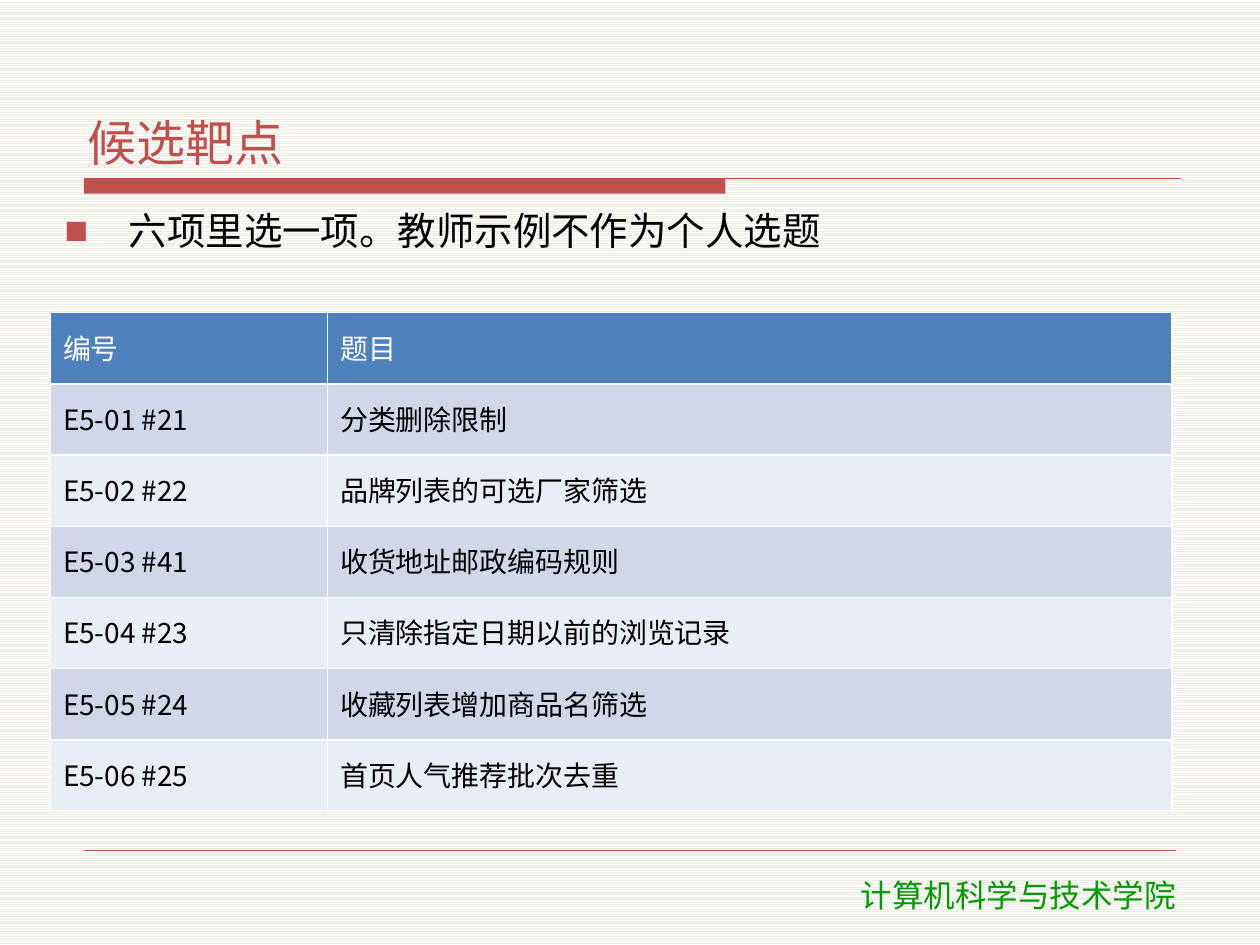
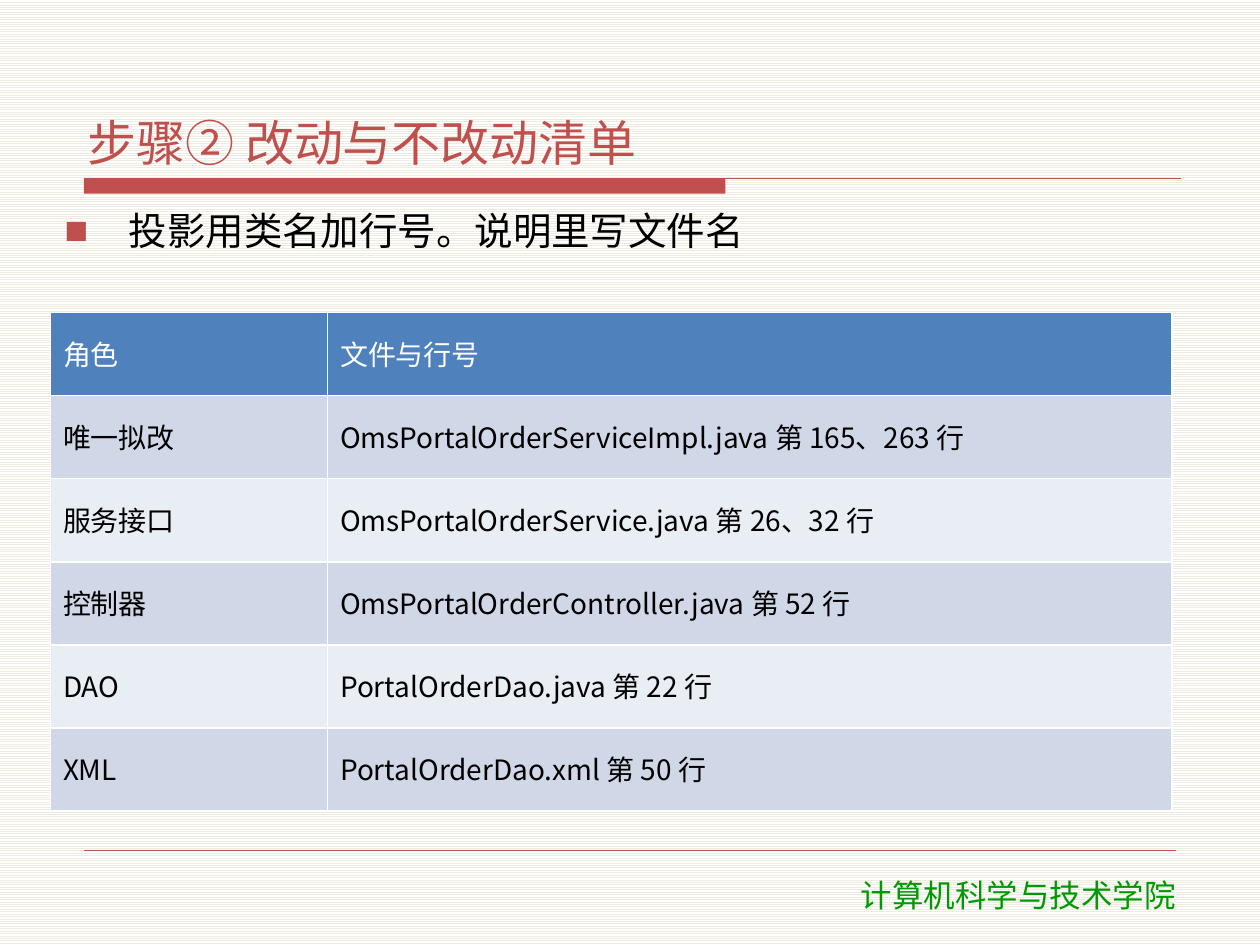
from dataclasses import dataclass

from lxml.etree import SubElement as Sub
from pptx import Presentation
from pptx.dml.color import RGBColor as Rgb
from pptx.enum.dml import MSO_PATTERN as Pattern
from pptx.enum.shapes import MSO_CONNECTOR as Conn, MSO_SHAPE as Shape
from pptx.enum.text import MSO_ANCHOR as Anchor, PP_ALIGN as Align
from pptx.oxml.ns import qn
from pptx.util import Pt


@dataclass(frozen=True)
class Theme:
    red: str = "C0504D"
    green: str = "009900"
    blue: str = "4F81BD"
    white: str = "FFFFFF"
    black: str = "000000"
    cream: str = "EEECE1"
    bands: tuple = ("D0D8E8", "E9EDF4")
    sans: str = "Noto Sans CJK SC"
    plain: str = "DejaVu Sans"
    title: int = 28
    lead: int = 22
    foot: int = 18
    cell: int = 16


T = Theme()
hue = Rgb.from_string


def write(frame, text, size, color, font=T.sans, anchor=Anchor.TOP,
          align=Align.LEFT, inset=None, after=0, lines=None, bullet=False):
    """Fill a text frame with one paragraph in the given format."""
    frame.word_wrap = True
    frame.vertical_anchor = anchor
    if inset:
        frame.margin_left = frame.margin_right = Pt(inset[0])
        frame.margin_top = frame.margin_bottom = Pt(inset[1])
    para = frame.paragraphs[0]
    if bullet:
        props = para._p.get_or_add_pPr()
        props.set("marL", str(Pt(36.7)))
        props.set("indent", str(-Pt(36.7)))
        Sub(Sub(props, qn("a:buClr")), qn("a:srgbClr"), val=T.red)
        Sub(props, qn("a:buSzPct"), val="65000")
        Sub(props, qn("a:buFont"), typeface=T.plain)
        Sub(props, qn("a:buChar"), char="■")
    para.alignment = align
    para.space_before, para.space_after = Pt(0), Pt(after)
    if lines:
        para.line_spacing = lines
    run = para.add_run()
    run.text = text
    run.font.size, run.font.name = Pt(size), font
    run.font.color.rgb = hue(color)
    Sub(run.font._element, qn("a:ea"), typeface=font)


def rule(shapes, left, right, top, width):
    line = shapes.add_connector(Conn.STRAIGHT, Pt(left), Pt(top), Pt(right), Pt(top))
    line.line.color.rgb, line.line.width = hue(T.red), Pt(width)
    Sub(line._element.spPr, qn("a:effectLst"))


pages = [
    ("候选靶点", "六项里选一项。教师示例不作为个人选题", [
        ("编号", "题目"),
        ("E5-01 #21", "分类删除限制"),
        ("E5-02 #22", "品牌列表的可选厂家筛选"),
        ("E5-03 #41", "收货地址邮政编码规则"),
        ("E5-04 #23", "只清除指定日期以前的浏览记录"),
        ("E5-05 #24", "收藏列表增加商品名筛选"),
        ("E5-06 #25", "首页人气推荐批次去重"),
    ]),
    ("步骤② 改动与不改动清单", "投影用类名加行号。说明里写文件名", [
        ("角色", "文件与行号"),
        ("唯一拟改", "OmsPortalOrderServiceImpl.java 第 165、263 行"),
        ("服务接口", "OmsPortalOrderService.java 第 26、32 行"),
        ("控制器", "OmsPortalOrderController.java 第 52 行"),
        ("DAO", "PortalOrderDao.java 第 22 行"),
        ("XML", "PortalOrderDao.xml 第 50 行"),
    ]),
]

deck = Presentation()
deck.slide_width, deck.slide_height = Pt(720), Pt(540)
back = deck.slide_master.background.fill
back.patterned()
back.pattern = Pattern.LIGHT_HORIZONTAL
back.fore_color.rgb, back.back_color.rgb = hue(T.cream), hue(T.white)

for title, lead, rows in pages:
    shapes = deck.slides.add_slide(deck.slide_layouts[6]).shapes

    bar = shapes.add_shape(Shape.RECTANGLE, Pt(48), Pt(102), Pt(366.5), Pt(8.7))
    bar.shadow.inherit = False
    bar.fill.solid()
    bar.fill.fore_color.rgb = hue(T.red)
    bar.line.fill.background()
    rule(shapes, 48, 674.6, 102, 0.75)
    rule(shapes, 48, 672, 486, 0.25)

    foot = shapes.add_textbox(Pt(437), Pt(497), Pt(289.5), Pt(29))
    write(foot.text_frame, "计算机科学与技术学院", T.foot, T.green,
          font=T.plain, align=Align.CENTER)
    head = shapes.add_textbox(Pt(45.4), Pt(24), Pt(630), Pt(75.4))
    write(head.text_frame, title, T.title, T.red, anchor=Anchor.BOTTOM,
          inset=(4.5, 1.5), after=2)
    note = shapes.add_textbox(Pt(32.4), Pt(116.6), Pt(655), Pt(56))
    write(note.text_frame, lead, T.lead, T.black, inset=(4.5, 1.5),
          after=2, bullet=True)

    grid = shapes.add_table(len(rows), 2, Pt(28.8), Pt(178.6), Pt(640.8), Pt(285)).table
    for col, width in zip(grid.columns, (158.4, 482.4)):
        col.width = Pt(width)
    for r, row in enumerate(rows):
        grid.rows[r].height = Pt(285 / len(rows))
        for c, text in enumerate(row):
            cell = grid.cell(r, c)
            write(cell.text_frame, text, T.cell, T.black if r else T.white,
                  after=2, lines=0.9)
            cell.vertical_anchor = Anchor.MIDDLE
            props = cell._tc.get_or_add_tcPr()
            for side in ("lnL", "lnR", "lnT", "lnB"):
                edge = Sub(props, qn(f"a:{side}"), w=str(Pt(1)))
                Sub(Sub(edge, qn("a:solidFill")), qn("a:srgbClr"), val=T.white)
            cell.fill.solid()
            cell.fill.fore_color.rgb = hue(T.bands[(r - 1) % 2] if r else T.blue)

deck.save("out.pptx")
